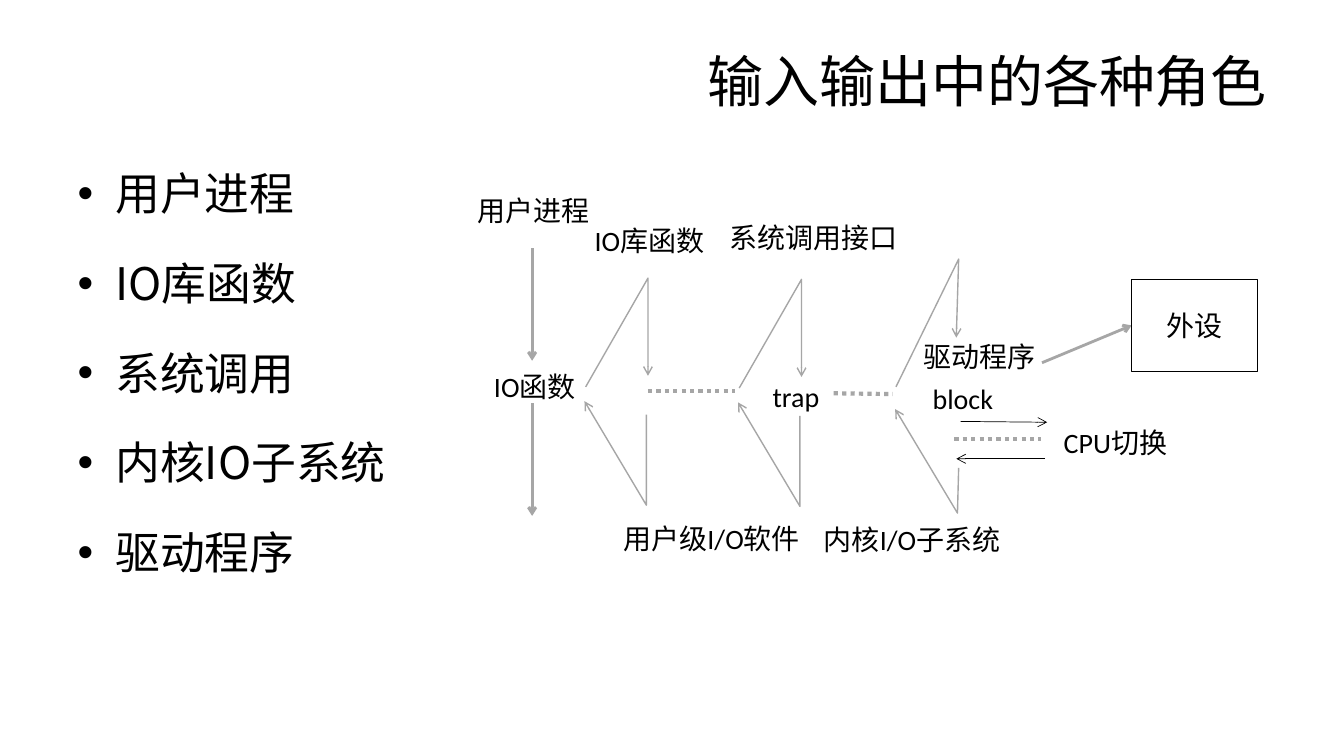
from dataclasses import dataclass

from lxml.etree import SubElement
from pptx import Presentation
from pptx.dml.color import RGBColor
from pptx.enum.dml import MSO_LINE
from pptx.enum.shapes import MSO_CONNECTOR as Connector, MSO_SHAPE as Shape
from pptx.enum.text import MSO_ANCHOR as Anchor, MSO_AUTO_SIZE as AutoSize, PP_ALIGN as Align
from pptx.oxml.ns import qn
from pptx.util import Cm, Pt


@dataclass(frozen=True)
class Theme:
    ink: RGBColor = RGBColor(0, 0, 0)
    grey: RGBColor = RGBColor(0xA6, 0xA6, 0xA6)
    title_font: str = "Arial"
    label_font: str = "Calibri"
    cjk_font: str = "Noto Sans CJK SC"
    title_size: Pt = Pt(40)
    role_size: Pt = Pt(32)
    label_size: Pt = Pt(20)
    hairline: Pt = Pt(0.5)
    thin: Pt = Pt(1)
    bold: Pt = Pt(2)
    dotted: Pt = Pt(3)


theme = Theme()


def write(paragraph, text, size, font, align):
    paragraph.alignment = align
    run = paragraph.add_run()
    run.text = text
    run.font.size = size
    run.font.color.rgb = theme.ink
    run.font.name = font
    SubElement(run._r.get_or_add_rPr(), qn("a:ea"), typeface=theme.cjk_font)


def style_line(stroke, color, width, arrow=True):
    stroke.line.color.rgb = color
    stroke.line.width = width
    if arrow:
        SubElement(stroke.line._get_or_add_ln(), qn("a:tailEnd"), type="arrow")
    else:
        stroke.line.dash_style = MSO_LINE.ROUND_DOT


prs = Presentation()
prs.slide_width, prs.slide_height = Cm(33.87), Cm(19.05)
slide = prs.slides.add_slide(prs.slide_layouts[1])

# Title
title = slide.shapes.title
title.left, title.top, title.width, title.height = Cm(1.7), Cm(0.76), Cm(30.48), Cm(2.51)
title.text_frame.auto_size = AutoSize.NONE
title.text_frame.vertical_anchor = Anchor.MIDDLE
write(title.text_frame.paragraphs[0], "输入输出中的各种角色",
      theme.title_size, theme.title_font, Align.RIGHT)

# List of roles
roles = slide.placeholders[1]
roles.left, roles.top, roles.width, roles.height = Cm(1.7), Cm(3.28), Cm(30.48), Cm(13.74)
roles_frame = roles.text_frame
roles_frame.auto_size = AutoSize.NONE
roles_frame.margin_top = Cm(0.23)
for i, role in enumerate(["用户进程", "IO库函数", "系统调用", "内核IO子系统", "驱动程序"]):
    item = roles_frame.add_paragraph() if i else roles_frame.paragraphs[0]
    item.line_spacing = Pt(57.6)
    item.space_before = Pt(6.4 if i else 0)
    props = item._p.get_or_add_pPr()
    props.set("marL", str(Cm(0.95)))
    props.set("indent", str(-Cm(0.95)))
    SubElement(props, qn("a:buFont"), typeface="Arial")
    SubElement(props, qn("a:buChar"), char="•")
    write(item, role, theme.role_size, theme.cjk_font, Align.LEFT)

diagram = slide.shapes.add_group_shape().shapes

# Call and return paths between the layers
paths = []
for dx, dy in [(0, 0), (3.87, 0.03)]:
    for corners in [[(14.76, 9.75), (16.33, 7.01), (16.33, 9.47)],
                    [(16.29, 10.45), (16.29, 12.73), (14.73, 10.11)]]:
        paths.append([(x + dx, y + dy) for x, y in corners])
paths.append([(22.58, 9.75), (24.16, 6.53), (24.1, 8.51)])
paths.append([(24.16, 11.79), (24.13, 12.93), (22.56, 10.31)])
for corners in paths:
    start, *rest = [(Cm(x), Cm(y)) for x, y in corners]
    builder = diagram.build_freeform(*start)
    builder.add_line_segments(rest, close=False)
    call = builder.convert_to_shape()
    call.shadow.inherit = False
    call.fill.background()
    style_line(call, theme.grey, theme.thin)

# Straight arrows and dotted waits
for x1, y1, x2, y2, color, width, arrow in [
    (13.41, 6.25, 13.41, 9.09, theme.grey, theme.bold, True),
    (13.41, 10.16, 13.41, 13, theme.grey, theme.bold, True),
    (26.26, 9.14, 28.52, 8.2, theme.grey, theme.bold, True),
    (24.21, 10.62, 26.39, 10.64, theme.ink, theme.hairline, True),
    (26.34, 11.56, 24.1, 11.56, theme.ink, theme.hairline, True),
    (16.33, 9.86, 18.52, 9.86, theme.grey, theme.dotted, False),
    (21.01, 9.91, 22.5, 9.93, theme.grey, theme.dotted, False),
    (24.05, 11.07, 26.24, 11.07, theme.grey, theme.dotted, False),
]:
    flow = diagram.add_connector(Connector.STRAIGHT, Cm(x1), Cm(y1), Cm(x2), Cm(y2))
    style_line(flow, color, width, arrow)
    SubElement(flow._element.spPr, qn("a:effectLst"))

# Device box
device = diagram.add_shape(Shape.RECTANGLE, Cm(28.52), Cm(7.04), Cm(3.18), Cm(2.31))
device.shadow.inherit = False
device.fill.background()
device.line.color.rgb = theme.ink
device.line.width = theme.hairline

# Labels
captions = [(device, "外设")]
for text, left, top, width, height in [
    ("用户进程", 11.86, 4.57, 3.18, 1.45),
    ("IO函数", 11.89, 9.02, 3.18, 1.45),
    ("IO库函数", 14.78, 5.33, 3.18, 1.45),
    ("系统调用接口", 18.31, 5.26, 4.39, 1.45),
    ("trap", 18.47, 9.27, 3.18, 1.45),
    ("驱动程序", 22.66, 8.36, 4.04, 1.22),
    ("block", 23.11, 9.3, 2.31, 1.45),
    ("CPU切换", 26.52, 10.41, 3.18, 1.45),
    ("用户级I/O软件", 15.52, 12.85, 4.83, 1.45),
    ("内核I/O子系统", 20.57, 12.88, 4.83, 1.42),
]:
    captions.append((diagram.add_textbox(Cm(left), Cm(top), Cm(width), Cm(height)), text))
for holder, text in captions:
    frame = holder.text_frame
    frame.word_wrap = False
    frame.vertical_anchor = Anchor.MIDDLE
    frame.margin_left = frame.margin_right = frame.margin_top = frame.margin_bottom = 0
    write(frame.paragraphs[0], text, theme.label_size, theme.label_font, Align.CENTER)

prs.save("out.pptx")
